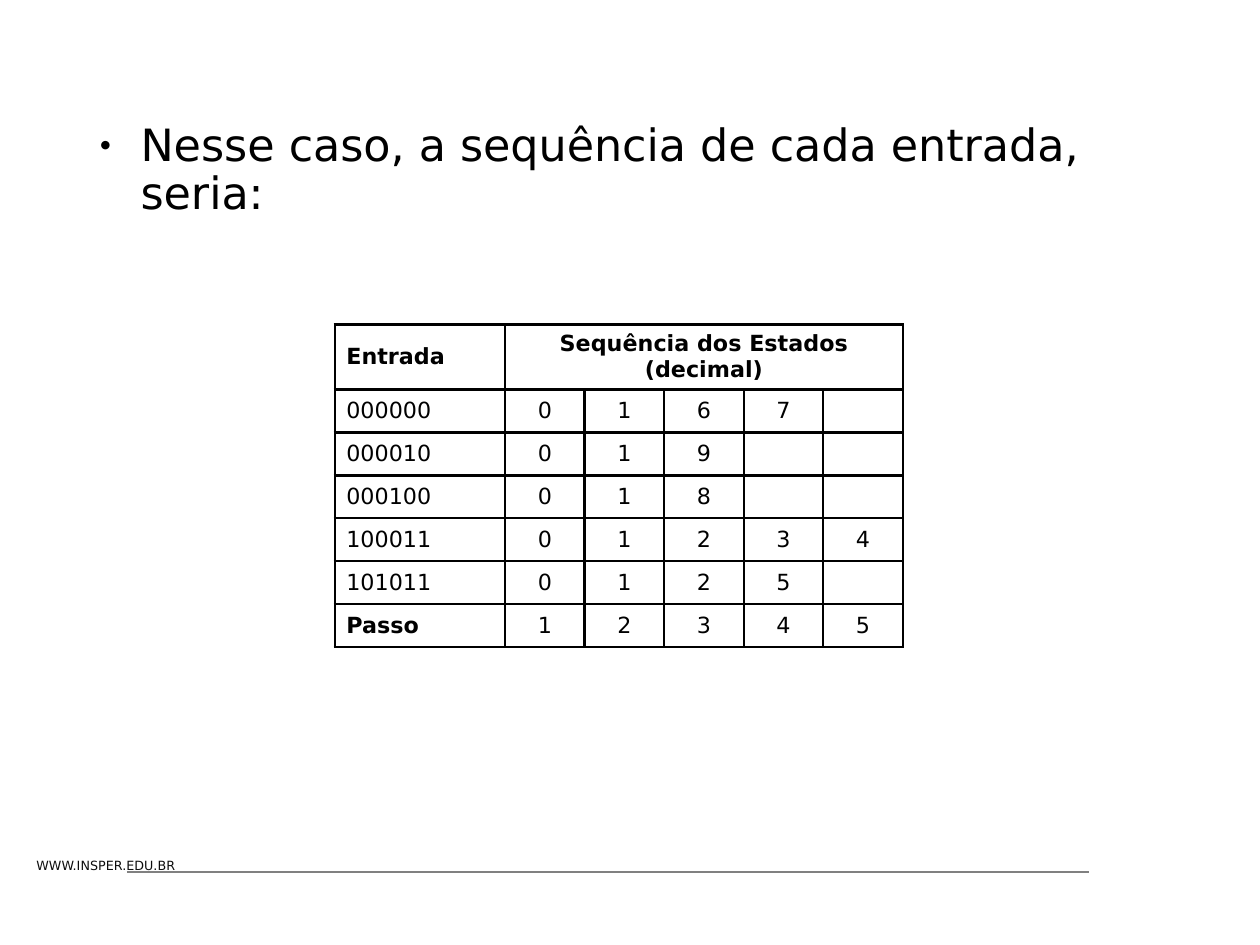
import pptx
import pptx.util
import pptx.dml.color
import pptx.enum.shapes
import pptx.enum.text
from lxml import etree
from pptx.oxml import ns

Inches, Pt = pptx.util.Inches, pptx.util.Pt
ALIGN = pptx.enum.text.PP_ALIGN
ANCHOR = pptx.enum.text.MSO_ANCHOR
FONT = "DejaVu Sans"
BLACK, DARK, GRAY = "000000", "0D0D0D", "808080"

# Content
FOOTER = "WWW.INSPER.EDU.BR"
INTRO = "Nesse caso, a sequência de cada entrada, seria:"
HEADER = ("Entrada", "Sequência dos Estados (decimal)")
STEPS = 5
SEQUENCES = [
    ("000000", [0, 1, 6, 7]),
    ("000010", [0, 1, 9]),
    ("000100", [0, 1, 8]),
    ("100011", [0, 1, 2, 3, 4]),
    ("101011", [0, 1, 2, 5]),
    ("Passo", list(range(1, STEPS + 1))),
]
FOOTER_RULES = [(1.81, 9.53), (1.11, 9.35)]
RULE_Y = 7.63
TABLE_X, TABLE_Y, TABLE_W, TABLE_H = 2.93, 2.84, 4.97, 2.63
INPUT_W = 1.49


def rgb(color):
    return pptx.dml.color.RGBColor.from_string(color)


def sub(parent, tag, **attrs):
    return etree.SubElement(parent, ns.qn(tag), **attrs)


def write(tf, text, size=14, color=BLACK, bold=False, align=ALIGN.LEFT):
    p = tf.paragraphs[0]
    p.alignment = align
    if not text:
        p._p.get_or_add_endParaRPr().set("sz", str(size * 100))
        return p
    r = p.add_run()
    r.text = text
    r.font.name, r.font.size, r.font.bold = FONT, Pt(size), bold
    r.font.color.rgb = rgb(color)
    return p


def add_text(s, left, top, width, height, text, margins=(0, 0), **fmt):
    tf = s.shapes.add_textbox(*map(Inches, (left, top, width, height))).text_frame
    tf.word_wrap = True
    tf.margin_left = tf.margin_right = Inches(margins[0])
    tf.margin_top = tf.margin_bottom = Inches(margins[1])
    return write(tf, text, **fmt)


def add_bullet(p):
    pPr = p._p.get_or_add_pPr()
    pPr.set("marL", str(Inches(0.47)))
    pPr.set("indent", str(-Inches(0.35)))
    sub(sub(pPr, "a:buClr"), "a:srgbClr", val=BLACK)
    sub(pPr, "a:buSzPct", val="25000")
    sub(pPr, "a:buFont", typeface=FONT)
    sub(pPr, "a:buChar", char="●")


def fill_cell(cell, text, **fmt):
    cell.vertical_anchor = ANCHOR.MIDDLE
    cell.margin_left = cell.margin_right = Inches(0.1)
    cell.margin_top = cell.margin_bottom = Inches(0.05)
    tcPr = cell._tc.get_or_add_tcPr()
    for side in ("a:lnL", "a:lnR", "a:lnT", "a:lnB"):
        ln = sub(tcPr, side, w=str(Pt(1.7)))
        sub(sub(ln, "a:solidFill"), "a:srgbClr", val=BLACK)
    cell.fill.background()
    write(cell.text_frame, text, **fmt)


# Slide of 28 by 21 cm
prs = pptx.Presentation()
prs.slide_width, prs.slide_height = pptx.util.Cm(28), pptx.util.Cm(21)
s = prs.slides.add_slide(prs.slide_layouts[6])

# Footer
add_text(s, 0.22, 7.46, 1.65, 0.23, FOOTER, margins=(0.1, 0.05), size=8, color=DARK)
for x1, x2 in FOOTER_RULES:
    rule = s.shapes.add_connector(pptx.enum.shapes.MSO_CONNECTOR.STRAIGHT,
                                  *map(Inches, (x1, RULE_Y, x2, RULE_Y)))
    rule.line.color.rgb = rgb(GRAY)
    rule.line.width = Pt(1)
    sub(rule._element.spPr, "a:effectLst")

# Bulleted sentence
p = add_text(s, 0.76, 1.08, 9.51, 0.9, INTRO, size=28)
p.line_spacing = 0.9
add_bullet(p)

# Table of state sequences
rows = [[*HEADER] + [""] * (STEPS - 1)]
for name, states in SEQUENCES:
    rows.append([name, *map(str, states)] + [""] * (STEPS - len(states)))
table = s.shapes.add_table(len(rows), STEPS + 1, *map(
    Inches, (TABLE_X, TABLE_Y, TABLE_W, TABLE_H))).table
table.first_row = table.horz_banding = False
for j, col in enumerate(table.columns):
    col.width = Inches((TABLE_W - INPUT_W) / STEPS if j else INPUT_W)
for row in table.rows:
    row.height = Inches(TABLE_H / len(rows))

table.cell(0, 1).merge(table.cell(0, STEPS))
for i, texts in enumerate(rows):
    for j, text in enumerate(texts):
        fill_cell(table.cell(i, j), text, bold=i == 0 or text == "Passo",
                  align=ALIGN.CENTER if j else ALIGN.LEFT)

prs.save("out.pptx")
